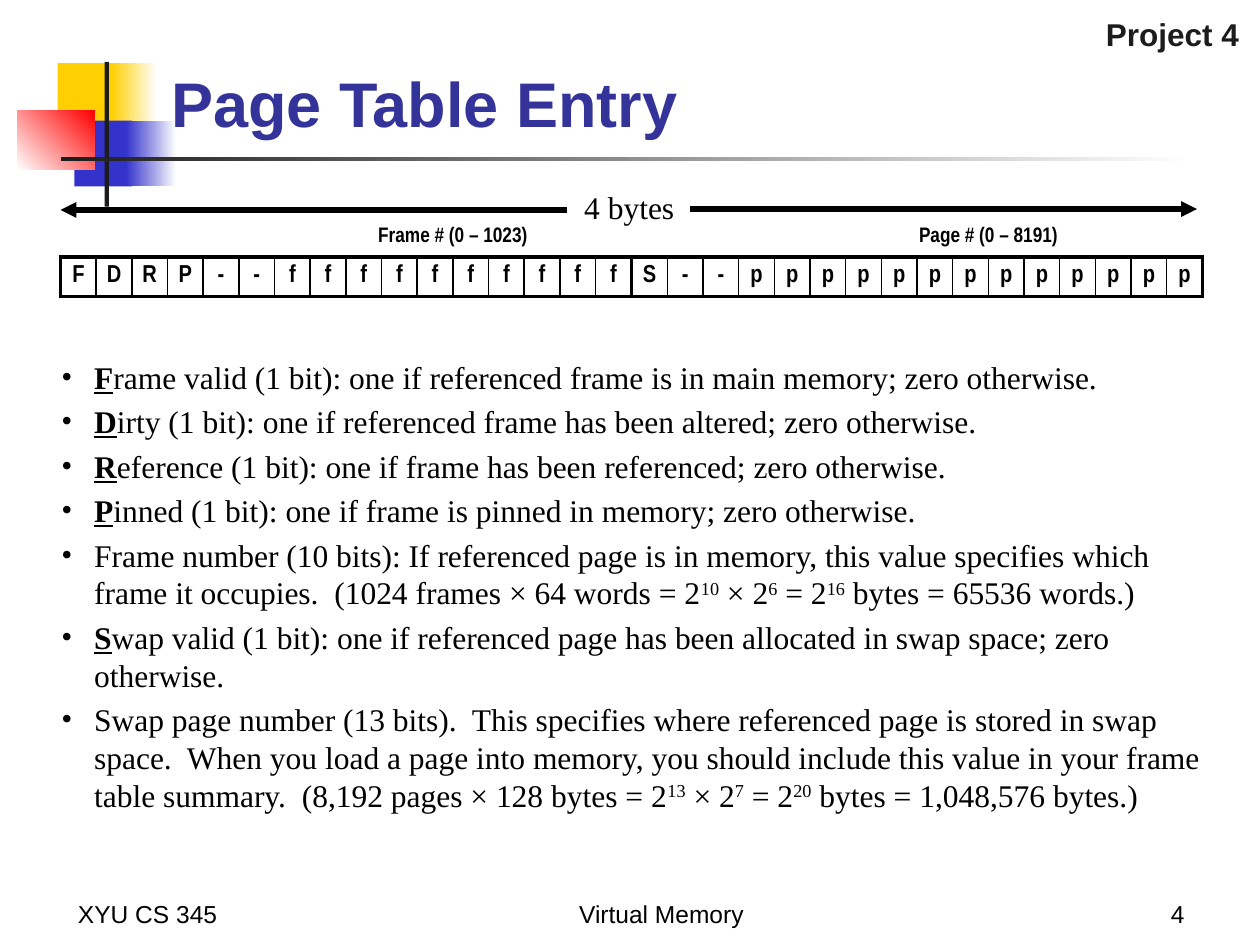
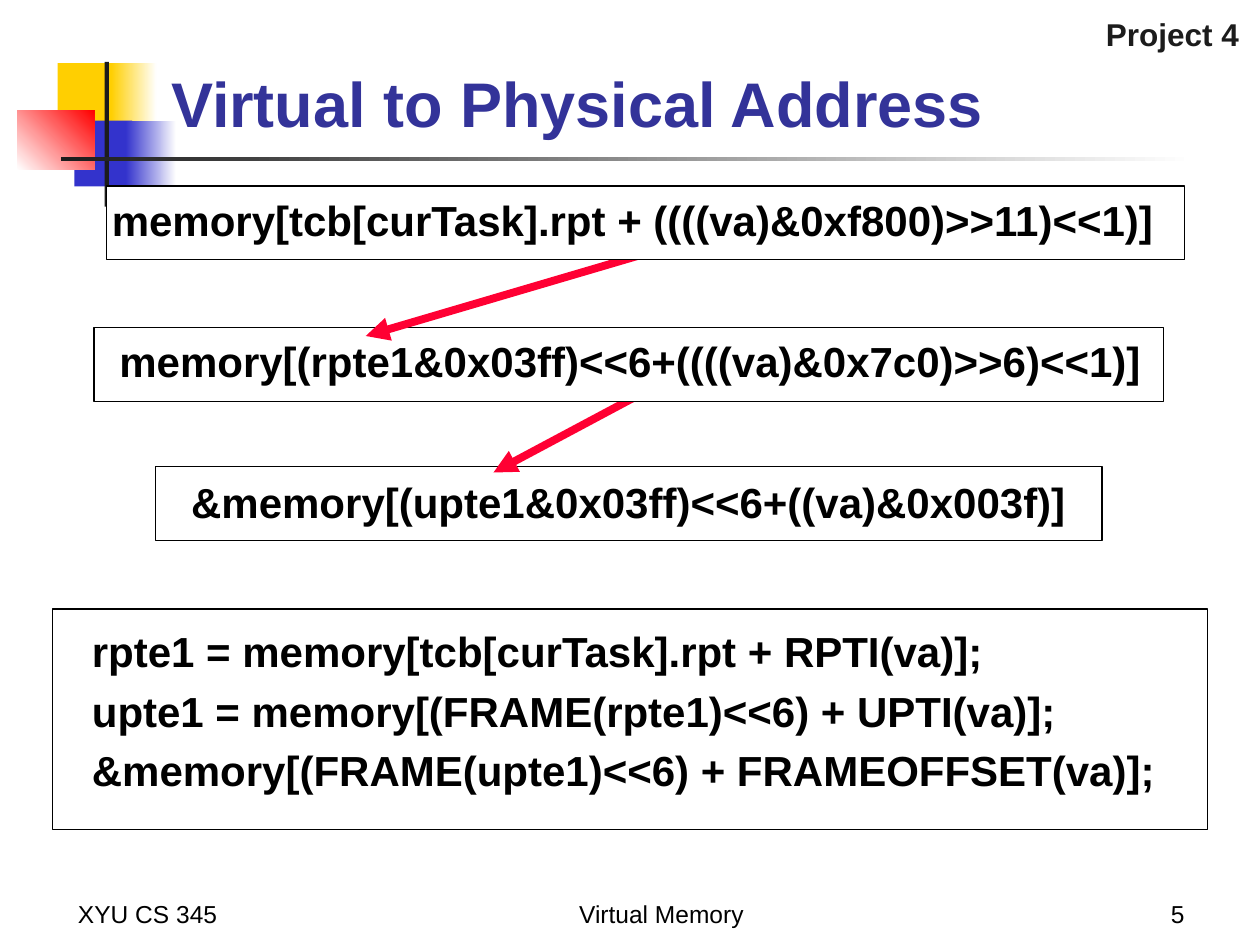
from dataclasses import dataclass
from typing import NamedTuple

from lxml import etree
from pptx import Presentation
from pptx.dml.color import RGBColor
from pptx.enum.shapes import MSO_CONNECTOR, MSO_SHAPE
from pptx.enum.text import MSO_ANCHOR, PP_ALIGN
from pptx.oxml.ns import qn
from pptx.util import Pt

LEFT, CENTER, RIGHT = PP_ALIGN.LEFT, PP_ALIGN.CENTER, PP_ALIGN.RIGHT
TOP, MIDDLE, BOTTOM = MSO_ANCHOR.TOP, MSO_ANCHOR.MIDDLE, MSO_ANCHOR.BOTTOM
RECTANGLE, STRAIGHT = MSO_SHAPE.RECTANGLE, MSO_CONNECTOR.STRAIGHT

COLORS = {
    "black": "000000",
    "white": "FFFFFF",
    "ink": "1C1C1C",
    "title": "333399",
    "yellow": "FFCF01",
    "blue": "3333CC",
    "red": "FF0000",
    "arrow": "FF0033",
}
SANS, NARROW, SERIF = "Arial", "Arial Narrow", "Times New Roman"
BIT_COUNT = 16
BIT_WIDTH, BIT_HEIGHT = 20.4, 22.4
TABLE_LEFT, TABLE_TOP = 34.6, 124.5
THIN, THICK = 1, 2.25
BULLET_INDENT = 18.7


class Box(NamedTuple):
    left: float
    top: float
    width: float
    height: float

    def points(self):
        return [Pt(length) for length in self]


class Span(NamedTuple):
    text: str
    key: bool = False
    raised: bool = False


@dataclass
class Block:
    box: Box
    start: str
    end: str = ""
    angle: int = 0


@dataclass
class Arrow:
    start: tuple[float, float]
    end: tuple[float, float]
    color: str
    width: float


@dataclass
class Footer:
    box: Box
    text: str
    align: PP_ALIGN


@dataclass
class Register:
    bits: str
    label: str
    label_start: int


@dataclass
class Bullet:
    key: str
    body: str

    def spans(self) -> list[Span]:
        pieces = [Span(piece, raised=index % 2 == 1)
                  for index, piece in enumerate(self.body.split("^"))]
        return ([Span(self.key, key=True)] if self.key else []) + pieces


@dataclass
class Stage:
    frame: Box
    text_box: Box
    code: str
    arrow: Arrow | None = None


DECORATION = [
    Block(Box(33, 36, 34.5, 37.5), "yellow"),
    Block(Box(63.5, 36, 26, 37.5), "yellow", "white"),
    Block(Box(42.5, 69, 33, 37.5), "blue"),
    Block(Box(72, 69, 28.8, 37.5), "blue", "white"),
    Block(Box(10, 63, 44, 34), "white", "red", 45),
    Block(Box(59.8, 35.3, 2.4, 82.8), "ink"),
    Block(Box(34.6, 89.5, 648, 2.4), "ink", "white"),
]
FOOTERS = [
    Footer(Box(37.5, 498, 150, 36), "XYU CS 345", LEFT),
    Footer(Box(264, 498, 228, 36), "Virtual Memory", CENTER),
]
NUMBER_BOX = Box(534, 498, 150, 36)
TITLE_BOX = Box(90.7, 15.1, 613.5, 68.4)
PROJECT_BOX = Box(457.2, 5, 257.8, 28.8)

REGISTERS = [
    Register("FDRP--ffffffffff", "Frame # (0 – 1023)", 6),
    Register("S--ppppppppppppp", "Page # (0 – 8191)", 4),
]
BULLETS = [
    Bullet("F", "rame valid (1 bit): one if referenced frame is in main memory; zero otherwise."),
    Bullet("D", "irty (1 bit): one if referenced frame has been altered; zero otherwise."),
    Bullet("R", "eference (1 bit): one if frame has been referenced; zero otherwise."),
    Bullet("P", "inned (1 bit): one if frame is pinned in memory; zero otherwise."),
    Bullet("", "Frame number (10 bits): If referenced page is in memory, this value specifies "
               "which frame it occupies.  (1024 frames × 64 words = 2^10^ × 2^6^ = 2^16^ bytes "
               "= 65536 words.)"),
    Bullet("S", "wap valid (1 bit): one if referenced page has been allocated in swap space; "
                "zero otherwise."),
    Bullet("", "Swap page number (13 bits).  This specifies where referenced page is stored in "
               "swap space.  When you load a page into memory, you should include this value in "
               "your frame table summary.  (8,192 pages × 128 bytes = 2^13^ × 2^7^ = 2^20^ bytes "
               "= 1,048,576 bytes.)"),
]
WIDTH_ARROWS = [
    Arrow((324, 120), (34.6, 120), "black", 3),
    Arrow((394.5, 119.5), (684, 119.5), "black", 3),
]
STAGES = [
    Stage(Box(88.8, 266.5, 541, 42.2), Box(101.5, 272.2, 515, 33),
          "&memory[(upte1&0x03ff)<<6+((va)&0x003f)]",
          Arrow((372, 222), (282, 270), "arrow", 4.5)),
    Stage(Box(53.7, 187.2, 611.3, 42.2), Box(60.5, 191.5, 599, 33),
          "memory[(rpte1&0x03ff)<<6+((((va)&0x7c0)>>6)<<1)]",
          Arrow((372, 144), (209, 192), "arrow", 4.5)),
    Stage(Box(60.7, 106.2, 616.3, 42.2), Box(46.1, 110.9, 630.7, 33.8),
          "memory[tcb[curTask].rpt + ((((va)&0xf800)>>11)<<1)]"),
]
MACRO_FRAME = Box(30, 348, 660, 126)
MACRO_BOX = Box(45.4, 354.2, 634.3, 105.8)
MACRO_LINES = [
    "rpte1 = memory[tcb[curTask].rpt + RPTI(va)];",
    "upte1 = memory[(FRAME(rpte1)<<6) + UPTI(va)];",
    "&memory[(FRAME(upte1)<<6) + FRAMEOFFSET(va)];",
]


def rgb(name: str) -> RGBColor:
    return RGBColor.from_string(COLORS[name])


def write_text(frame, paragraphs, *, size, font=SANS, color="black", bold=False, align=LEFT,
               anchor=TOP, wrap=True, before=0, spacing=None, bulleted=False) -> None:
    frame.word_wrap = wrap
    frame.vertical_anchor = anchor
    for index, spans in enumerate(paragraphs):
        paragraph = frame.add_paragraph() if index else frame.paragraphs[0]
        paragraph.alignment = align
        paragraph.space_before = Pt(before)
        if spacing:
            paragraph.line_spacing = spacing
        if bulleted:
            properties = paragraph._p.get_or_add_pPr()
            properties.set("marL", str(Pt(BULLET_INDENT)))
            properties.set("indent", str(-Pt(BULLET_INDENT)))
            etree.SubElement(properties, qn("a:buFont"), typeface=font)
            etree.SubElement(properties, qn("a:buChar"), char="•")
        for span in spans:
            run = paragraph.add_run()
            run.text = span.text
            run.font.size = Pt(size)
            run.font.name = font
            run.font.color.rgb = rgb(color)
            run.font.bold = bold or span.key
            run.font.underline = span.key
            if span.raised:
                run._r.get_or_add_rPr().set("baseline", "30000")


def add_text(slide, box: Box, *lines: str, **text_format) -> None:
    frame = slide.shapes.add_textbox(*box.points()).text_frame
    write_text(frame, [[Span(line)] for line in lines], **text_format)


def add_block(slide, block: Block, line: str = "") -> None:
    shape = slide.shapes.add_shape(RECTANGLE, *block.box.points())
    shape.shadow.inherit = False
    if block.end:
        shape.fill.gradient()
        shape.fill.gradient_angle = block.angle
        for stop, color in zip(shape.fill.gradient_stops, (block.start, block.end)):
            stop.color.rgb = rgb(color)
    else:
        shape.fill.solid()
        shape.fill.fore_color.rgb = rgb(block.start)
    if line:
        shape.line.color.rgb = rgb(line)
        shape.line.width = Pt(0.75)
    else:
        shape.line.fill.background()


def add_arrow(slide, arrow: Arrow) -> None:
    ends = [Pt(length) for length in arrow.start + arrow.end]
    connector = slide.shapes.add_connector(STRAIGHT, *ends)
    connector.line.color.rgb = rgb(arrow.color)
    connector.line.width = Pt(arrow.width)
    etree.SubElement(connector.line._get_or_add_ln(), qn("a:tailEnd"), type="triangle")
    etree.SubElement(connector._element.spPr, qn("a:effectLst"))


def set_cell(cell, left: float, right: float, top: float, bottom: float) -> None:
    cell.margin_left = cell.margin_right = cell.margin_top = cell.margin_bottom = 0
    properties = cell._tc.get_or_add_tcPr()
    for side, width in zip("LRTB", (left, right, top, bottom)):
        border = etree.SubElement(properties, qn(f"a:ln{side}"), w=str(Pt(width)))
        if width:
            fill = etree.SubElement(border, qn("a:solidFill"))
            etree.SubElement(fill, qn("a:srgbClr"), val=COLORS["black"])
        else:
            etree.SubElement(border, qn("a:noFill"))
    cell.fill.background()


def add_register(slide, register: Register, left: float) -> None:
    box = Box(left, TABLE_TOP, BIT_COUNT * BIT_WIDTH, 2 * BIT_HEIGHT)
    table = slide.shapes.add_table(2, BIT_COUNT, *box.points()).table
    table.first_row = table.horz_banding = False
    last = BIT_COUNT - 1
    cell_format = dict(font=NARROW, bold=True, align=CENTER)
    for index, bit in enumerate(register.bits):
        table.columns[index].width = Pt(BIT_WIDTH)
        set_cell(table.cell(0, index), 0, 0, 0, THICK)
        cell = table.cell(1, index)
        set_cell(cell, THIN if index else THICK, THIN if index < last else THICK, THICK, THICK)
        write_text(cell.text_frame, [[Span(bit)]], size=14, **cell_format)
        cell.vertical_anchor = MIDDLE
    label = table.cell(0, register.label_start)
    label.merge(table.cell(0, last))
    write_text(label.text_frame, [[Span(register.label)]], size=12, **cell_format)
    label.vertical_anchor = MIDDLE


def add_base_slide(presentation, title: str, number: int):
    slide = presentation.slides.add_slide(presentation.slide_layouts[6])
    for block in DECORATION:
        add_block(slide, block)
    for footer in FOOTERS + [Footer(NUMBER_BOX, str(number), RIGHT)]:
        add_text(slide, footer.box, footer.text, size=14, align=footer.align, anchor=BOTTOM)
    add_text(slide, TITLE_BOX, title, size=36, color="title", bold=True, anchor=BOTTOM)
    add_text(slide, PROJECT_BOX, "Project 4", size=18, color="ink", bold=True, align=RIGHT)
    return slide


def build_page_table_entry(presentation) -> None:
    slide = add_base_slide(presentation, "Page Table Entry", 4)
    for arrow in WIDTH_ARROWS:
        add_arrow(slide, arrow)
    add_text(slide, Box(311, 103.7, 97.2, 28.8), "4 bytes", size=18, font=SERIF, align=CENTER)
    for index, register in enumerate(REGISTERS):
        add_register(slide, register, TABLE_LEFT + index * BIT_COUNT * BIT_WIDTH)
    frame = slide.shapes.add_textbox(*Box(28, 204.5, 670.3, 264).points()).text_frame
    frame.margin_top = frame.margin_bottom = 0
    write_text(frame, [bullet.spans() for bullet in BULLETS], size=18, font=SERIF,
               before=3.8, bulleted=True)


def build_address_translation(presentation) -> None:
    slide = add_base_slide(presentation, "Virtual to Physical Address", 5)
    code_format = dict(size=24, bold=True, wrap=False)
    for stage in STAGES:
        add_block(slide, Block(stage.frame, "white"), "black")
        if stage.arrow:
            add_arrow(slide, stage.arrow)
        add_text(slide, stage.text_box, stage.code, align=CENTER, spacing=0.9, **code_format)
    add_block(slide, Block(MACRO_FRAME, "white"), "black")
    add_text(slide, MACRO_BOX, *MACRO_LINES, before=5, **code_format)


def main() -> None:
    presentation = Presentation()
    presentation.slide_width, presentation.slide_height = Pt(720), Pt(540)
    build_page_table_entry(presentation)
    build_address_translation(presentation)
    presentation.save("out.pptx")


if __name__ == "__main__":
    main()
